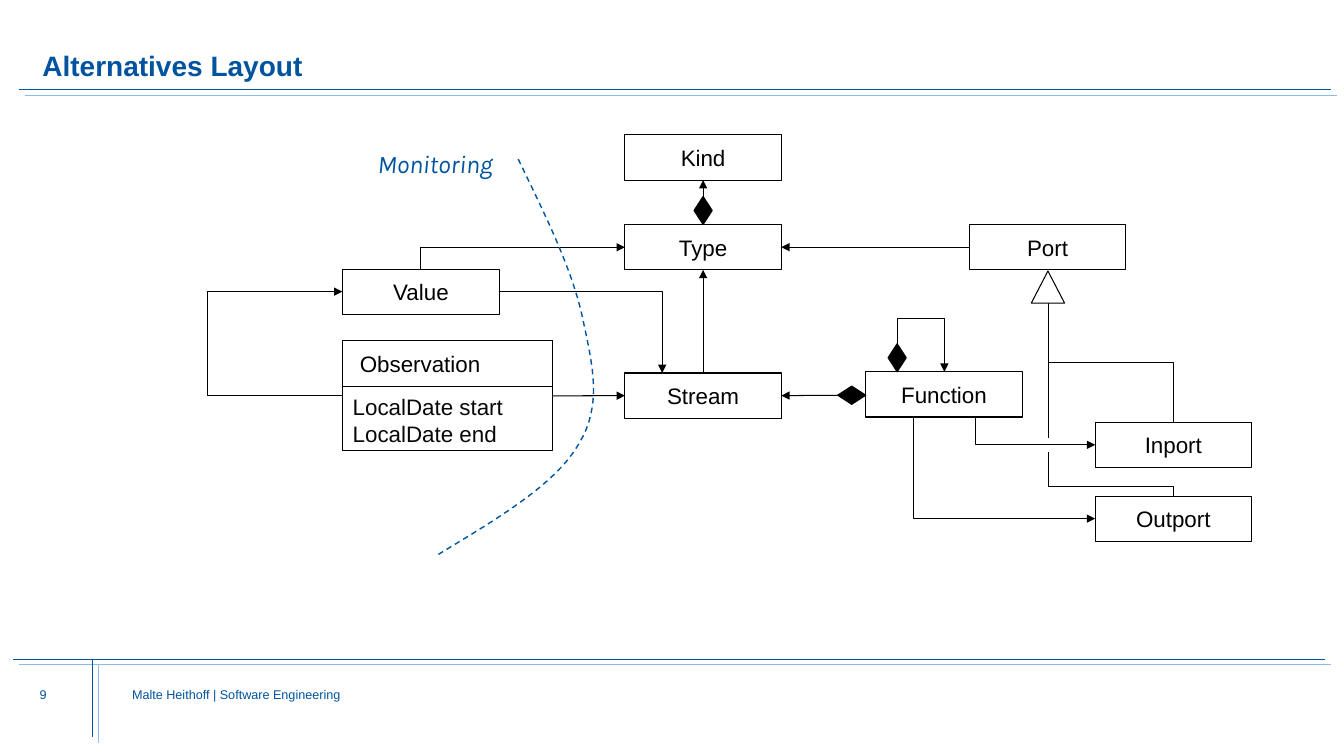
"""Builds the "Alternatives Layout" class diagram slide."""
from dataclasses import dataclass
from typing import Optional

from lxml import etree
from pptx import Presentation
from pptx.dml.color import RGBColor
from pptx.enum.dml import MSO_LINE
from pptx.enum.shapes import MSO_CONNECTOR, MSO_SHAPE
from pptx.enum.text import MSO_ANCHOR, PP_ALIGN
from pptx.oxml.ns import qn
from pptx.util import Cm, Pt

BLUE = RGBColor(0x00, 0x54, 0x9F)
LIGHT_BLUE = RGBColor(0x8E, 0xBA, 0xE5)
BLACK = RGBColor(0x00, 0x00, 0x00)
NEAR_BLACK = RGBColor(0x08, 0x08, 0x08)
WHITE = RGBColor(0xFF, 0xFF, 0xFF)

RECTANGLE, DIAMOND = MSO_SHAPE.RECTANGLE, MSO_SHAPE.DIAMOND
TRIANGLE = MSO_SHAPE.ISOSCELES_TRIANGLE
STRAIGHT, ELBOW = MSO_CONNECTOR.STRAIGHT, MSO_CONNECTOR.ELBOW
TOP, MIDDLE, BOTTOM = MSO_ANCHOR.TOP, MSO_ANCHOR.MIDDLE, MSO_ANCHOR.BOTTOM
LEFT, CENTER = PP_ALIGN.LEFT, PP_ALIGN.CENTER
DASH = MSO_LINE.DASH
SIDE_TOP, SIDE_LEFT, SIDE_BOTTOM, SIDE_RIGHT = range(4)

Point = tuple[float, float]


@dataclass
class Box:
    name: str
    left: float
    top: float
    width: float = 3.94
    height: float = 1.14
    align: PP_ALIGN = CENTER
    inset: float = 0.0


@dataclass
class Symbol:
    kind: MSO_SHAPE
    left: float
    top: float
    width: float
    height: float
    fill: RGBColor = BLACK
    line: RGBColor = BLACK


@dataclass
class Label:
    text: str
    left: float
    top: float
    width: float
    height: float
    size: float
    font: str = "Arial"
    bold: bool = False
    italic: bool = False
    anchor: MSO_ANCHOR = TOP


@dataclass
class Association:
    source: str
    source_side: int
    target: str
    target_side: int


@dataclass
class Elbow:
    start: Point
    end: Point
    vertical: bool = True
    via: Optional[float] = None
    arrow: bool = True


BOXES = [
    Box("Kind", 15.75, 3.4),
    Box("Type", 15.75, 5.66),
    Box("Port", 24.43, 5.66),
    Box("Value", 8.64, 6.78),
    Box("Observation", 8.64, 8.59, width=5.28, align=LEFT, inset=0.43),
    Box("Stream", 15.75, 9.4),
    Box("Function", 21.82, 9.37),
    Box("Inport", 27.6, 10.64),
    Box("Outport", 27.6, 12.5),
]
SYMBOLS = [
    Symbol(TRIANGLE, 25.99, 6.83, 0.84, 0.81, fill=WHITE),
    Symbol(DIAMOND, 17.49, 4.95, 0.46, 0.71),
    Symbol(DIAMOND, 22.38, 8.66, 0.46, 0.71),
    Symbol(DIAMOND, 21.11, 9.73, 0.71, 0.46),
]
CROSSING_GAP = Symbol(RECTANGLE, 26.24, 11.05, 0.3, 0.33, fill=WHITE, line=WHITE)
ASSOCIATIONS = [
    Association("Port", SIDE_LEFT, "Type", SIDE_RIGHT),
    Association("Type", SIDE_TOP, "Kind", SIDE_BOTTOM),
    Association("Stream", SIDE_TOP, "Type", SIDE_BOTTOM),
    Association("Attributes", SIDE_RIGHT, "Stream", SIDE_LEFT),
]
INHERITANCE = [
    Elbow((29.57, 12.5), (26.42, 7.64), via=12.27, arrow=False),
    Elbow((26.42, 7.64), (29.57, 10.64), via=9.13, arrow=False),
]
ELBOWS = [
    Elbow((22.61, 8.66), (23.8, 9.37), via=8.03),
    Elbow((23.01, 10.51), (27.6, 13.07)),
    Elbow((24.59, 10.51), (27.6, 11.21)),
    Elbow((10.61, 6.78), (15.75, 6.23)),
    Elbow((12.58, 7.35), (16.69, 9.4), vertical=False),
    Elbow((8.64, 9.97), (8.63, 7.35), vertical=False, via=5.24),
]
LABELS = [
    Label("Alternatives Layout", 1.07, 0.56, 31.9, 1.5, 20, bold=True, anchor=BOTTOM),
    Label("9", 1, 17.3, 2.03, 1.09, 9),
    Label("Malte Heithoff | Software Engineering", 3.33, 17.3, 19.46, 1.75, 9),
    Label("Monitoring", 9.52, 3.74, 3.4, 0.9, 18, font="Karla", italic=True),
]
DOUBLE_RULES = [
    ((0.48, 2.26), (33.55, 2.26)),
    ((0.33, 16.61), (33.4, 16.61)),
    ((2.34, 16.61), (2.34, 18.57)),
]
MONITORING_CURVE = [
    [(13.06, 4.01), (13.74, 5.41), (14.43, 6.81), (14.68, 8.0)],
    [(14.68, 8.0), (14.94, 9.22), (15.19, 10.21), (14.58, 11.2)],
    [(14.58, 11.2), (13.99, 12.22), (12.52, 13.08), (11.05, 13.97)],
]


def add_run(paragraph, text: str, size: float, color: RGBColor, font: str = "Arial"):
    run = paragraph.add_run()
    run.text = text
    run.font.name, run.font.size = font, Pt(size)
    run.font.color.rgb = color
    return run


def set_insets(frame, side: float = 0, bottom: float = 0) -> None:
    frame.margin_left = frame.margin_right = Cm(side)
    frame.margin_top, frame.margin_bottom = 0, Cm(bottom)


def add_symbol(slide, symbol: Symbol, filled: bool = True):
    shape = slide.shapes.add_shape(symbol.kind, Cm(symbol.left), Cm(symbol.top),
                                   Cm(symbol.width), Cm(symbol.height))
    shape.shadow.inherit = False
    shape.line.color.rgb, shape.line.width = symbol.line, Pt(0.75)
    if filled:
        shape.fill.solid()
        shape.fill.fore_color.rgb = symbol.fill
    else:
        shape.fill.background()
    return shape


def add_box(slide, box: Box):
    shape = add_symbol(slide, Symbol(RECTANGLE, box.left, box.top, box.width, box.height), False)
    frame = shape.text_frame
    set_insets(frame, box.inset)
    frame.vertical_anchor = MIDDLE
    frame.paragraphs[0].alignment = box.align
    add_run(frame.paragraphs[0], box.name, 16, BLACK)
    return shape


def add_attributes(slide):
    shape = add_symbol(slide, Symbol(RECTANGLE, 8.64, 8.59, 5.28, 2.77), False)
    frame = shape.text_frame
    set_insets(frame, side=0.25, bottom=0.1)
    frame.vertical_anchor = BOTTOM
    paragraph = frame.paragraphs[0]
    paragraph.alignment = LEFT
    add_run(paragraph, "LocalDate start", 16, NEAR_BLACK)
    paragraph.add_line_break()
    add_run(paragraph, "LocalDate end", 16, NEAR_BLACK)
    return shape


def add_label(slide, label: Label) -> None:
    frame = slide.shapes.add_textbox(Cm(label.left), Cm(label.top),
                                     Cm(label.width), Cm(label.height)).text_frame
    frame.word_wrap = True
    frame.vertical_anchor = label.anchor
    set_insets(frame)
    run = add_run(frame.paragraphs[0], label.text, label.size, BLUE, label.font)
    run.font.bold, run.font.italic = label.bold, label.italic


def add_line(slide, start: Point, end: Point, kind: MSO_CONNECTOR = STRAIGHT,
             color: RGBColor = BLACK, width: float = 0.75, arrow: bool = True):
    connector = slide.shapes.add_connector(kind, *map(Cm, start + end))
    connector.line.color.rgb, connector.line.width = color, Pt(width)
    properties = connector._element.spPr
    if arrow:
        etree.SubElement(properties.find(qn("a:ln")), qn("a:tailEnd"), type="triangle")
    etree.SubElement(properties, qn("a:effectLst"))
    return connector


def add_elbow(slide, elbow: Elbow) -> None:
    (x1, y1), (x2, y2) = elbow.start, elbow.end
    across, down = (y1 - y2, x2 - x1) if elbow.vertical else (x2 - x1, y2 - y1)
    left, top = (x1 + x2 - abs(across)) / 2, (y1 + y2 - abs(down)) / 2
    connector = add_line(slide, (left, top), (left + abs(across), top + abs(down)),
                         ELBOW, arrow=elbow.arrow)
    frame = connector._element.spPr.find(qn("a:xfrm"))
    frame.set("rot", str(270 * 60000 if elbow.vertical else 0))
    frame.set("flipH", str(int(across < 0)))
    frame.set("flipV", str(int(down < 0)))
    geometry = connector._element.spPr.find(qn("a:prstGeom"))
    if elbow.via is None:
        geometry.set("prst", "bentConnector2")
        return
    first, last = (y1, y2) if elbow.vertical else (x1, x2)
    share = round((elbow.via - first) / (last - first) * 100000)
    etree.SubElement(geometry.find(qn("a:avLst")), qn("a:gd"), name="adj1", fmla=f"val {share}")


def bezier_point(controls: list[Point], t: float) -> Point:
    weights = ((1 - t) ** 3, 3 * t * (1 - t) ** 2, 3 * t * t * (1 - t), t ** 3)
    x, y = (sum(w * c[axis] for w, c in zip(weights, controls)) for axis in (0, 1))
    return Cm(x), Cm(y)


def add_monitoring_curve(slide, steps: int = 16) -> None:
    builder = slide.shapes.build_freeform(*map(Cm, MONITORING_CURVE[0][0]), scale=1.0)
    points = [bezier_point(part, i / steps) for part in MONITORING_CURVE for i in range(1, steps + 1)]
    builder.add_line_segments(points, close=False)
    curve = builder.convert_to_shape()
    curve.shadow.inherit = False
    curve.fill.background()
    curve.line.color.rgb, curve.line.width = BLUE, Pt(1)
    curve.line.dash_style = DASH


def main() -> None:
    presentation = Presentation()
    presentation.slide_width, presentation.slide_height = Cm(33.87), Cm(19.05)
    slide = presentation.slides.add_slide(presentation.slide_layouts[6])
    for start, end in DOUBLE_RULES:
        for color, shift in ((BLUE, 0), (LIGHT_BLUE, 0.14)):
            shifted = [(x + shift, y + shift) for x, y in (start, end)]
            add_line(slide, *shifted, color=color, width=0.5, arrow=False)
    for label in LABELS:
        add_label(slide, label)
    shapes = {"Attributes": add_attributes(slide)}
    for box in BOXES:
        shapes[box.name] = add_box(slide, box)
    for elbow in INHERITANCE:
        add_elbow(slide, elbow)
    add_symbol(slide, CROSSING_GAP)
    for elbow in ELBOWS:
        add_elbow(slide, elbow)
    for association in ASSOCIATIONS:
        connector = add_line(slide, (0, 0), (1, 1))
        connector.begin_connect(shapes[association.source], association.source_side)
        connector.end_connect(shapes[association.target], association.target_side)
    composition = add_line(slide, (21.11, 9.96), (19.69, 9.97))
    composition.end_connect(shapes["Stream"], SIDE_RIGHT)
    for symbol in SYMBOLS:
        add_symbol(slide, symbol)
    add_monitoring_curve(slide)
    presentation.save("out.pptx")


if __name__ == "__main__":
    main()
